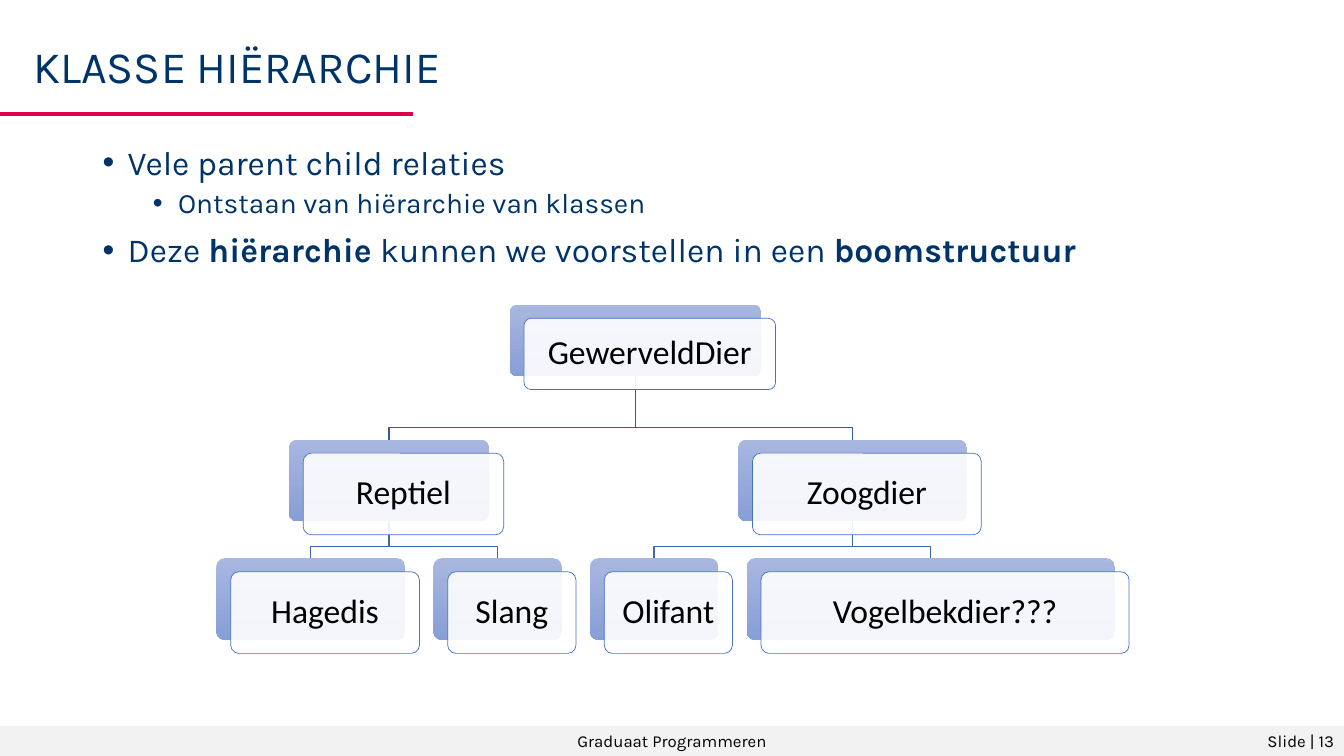
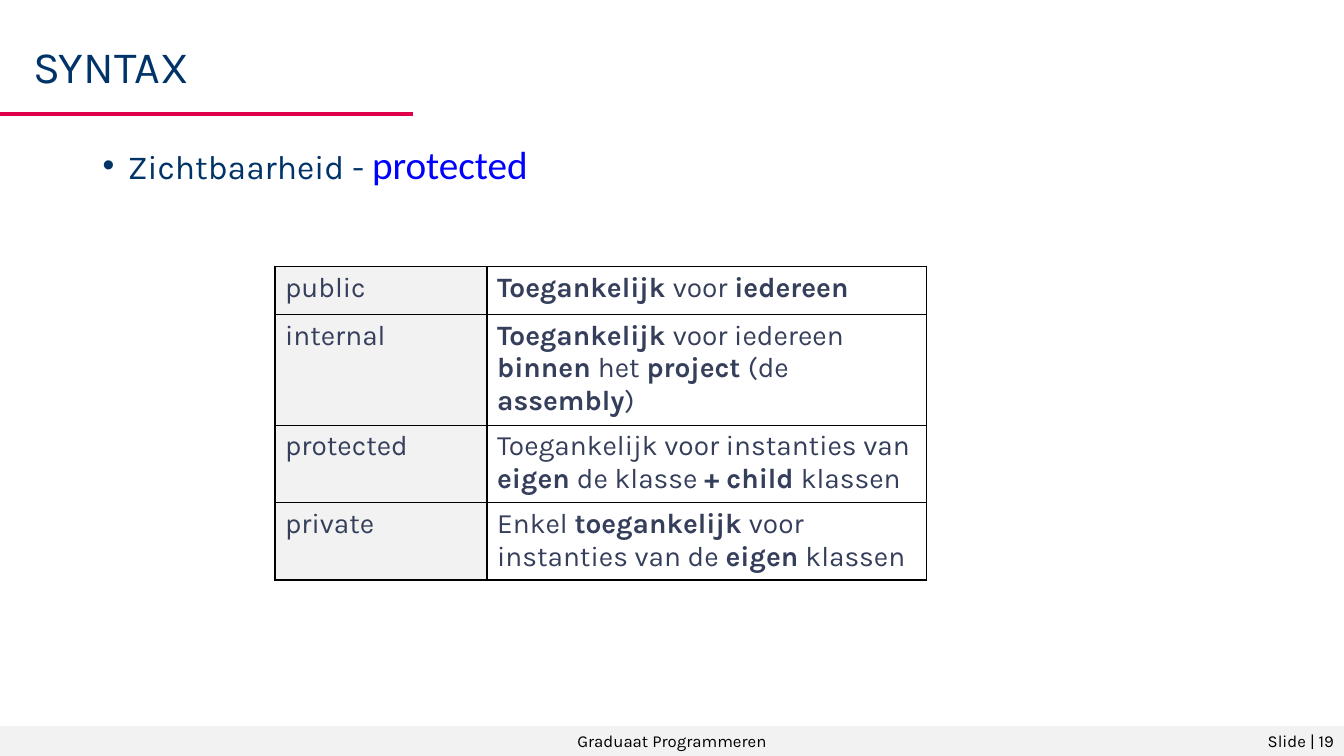
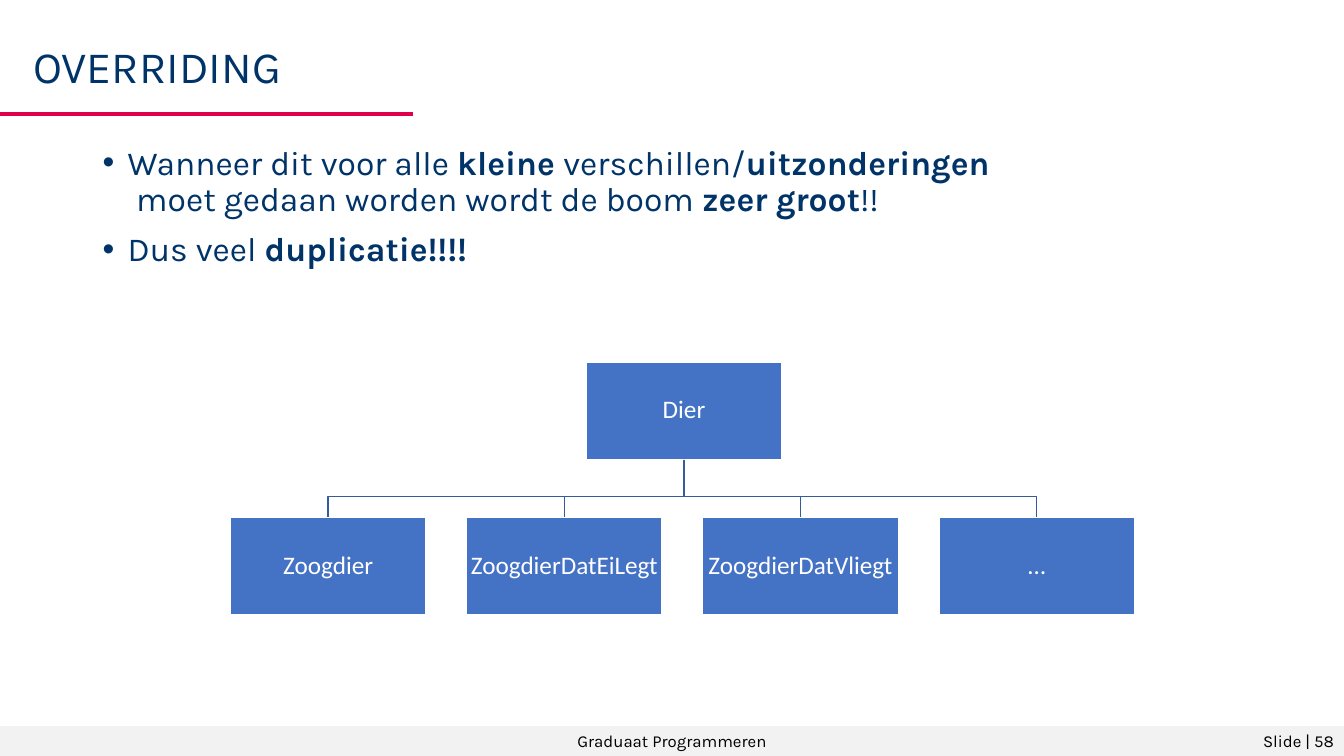
from lxml.etree import SubElement
from pptx import Presentation
from pptx.dml.color import RGBColor
from pptx.enum.shapes import MSO_CONNECTOR, MSO_SHAPE
from pptx.enum.text import MSO_ANCHOR as ANCHOR, PP_ALIGN as ALIGN
from pptx.oxml.ns import qn
from pptx.util import Pt

FONT, DIAGRAM_FONT = "Karla", "Calibri"
NAVY, RED, GREY, SLATE = "003469", "E00049", "F2F2F2", "353F5B"
BLUE, LINE_TOP, LINE_LOW = "4472C4", "365B9D", "3E67B2"
CARD_TOP, CARD_BOTTOM = "A8B7DF", "889ED7"
BLACK, WHITE, KEYWORD = "000000", "FFFFFF", "0000FF"
WIDTH, HEIGHT, FOOTER = 960, 540, 21.4


def rgb(value):
    return RGBColor.from_string(value)


def write(p, text, size=24, color=NAVY, font=FONT, align=None, spacing=None):
    if align is not None:
        p.alignment = align
    if spacing:
        p.line_spacing = spacing
    for i, part in enumerate(text.split("**")):
        for j, line in enumerate(part.split("\n")):
            if j:
                p.add_line_break()
            if line:
                r = p.add_run()
                r.text = line
                r.font.name, r.font.size = font, Pt(size)
                r.font.bold = i % 2 == 1
                r.font.color.rgb = rgb(color)


class Deck:
    def __init__(self):
        self.prs = Presentation()
        self.prs.slide_width, self.prs.slide_height = Pt(WIDTH), Pt(HEIGHT)
        self.s = None

    def slide(self, title, number):
        self.s = self.prs.slides.add_slide(self.prs.slide_layouts[6])
        top = HEIGHT - FOOTER
        bar = self.box(0, top, WIDTH, FOOTER, fill=GREY)
        self.label(bar, "Graduaat Programmeren", size=12, color=BLACK)
        tf = self.text_box(744, top, 216, FOOTER)
        tf.vertical_anchor = ANCHOR.MIDDLE
        write(tf.paragraphs[0], f"Slide | {number}", size=12, color=BLACK, align=ALIGN.RIGHT)
        self.line(0, 81.5, 295, 81.5, RED, 3)
        tf = self.text_box(16.5, 28.5, 877, 53)
        write(tf.paragraphs[0], title, size=32, spacing=0.9)

    def text_box(self, x, y, w, h):
        tf = self.s.shapes.add_textbox(Pt(x), Pt(y), Pt(w), Pt(h)).text_frame
        tf.word_wrap = True
        return tf

    def box(self, x, y, w, h, fill=None, line=None, weight=1, shape=MSO_SHAPE.RECTANGLE):
        sp = self.s.shapes.add_shape(shape, Pt(x), Pt(y), Pt(w), Pt(h))
        sp.shadow.inherit = False
        if fill:
            sp.fill.solid()
            sp.fill.fore_color.rgb = rgb(fill)
        if line:
            sp.line.color.rgb = rgb(line)
            sp.line.width = Pt(weight)
        else:
            sp.line.fill.background()
        return sp

    def label(self, sp, text, inset=3.6, **fmt):
        tf = sp.text_frame
        tf.word_wrap = True
        tf.vertical_anchor = ANCHOR.MIDDLE
        tf.margin_left = tf.margin_right = tf.margin_top = tf.margin_bottom = Pt(inset)
        write(tf.paragraphs[0], text, align=ALIGN.CENTER, **fmt)

    def line(self, x1, y1, x2, y2, color, weight=1):
        cx = self.s.shapes.add_connector(MSO_CONNECTOR.STRAIGHT, Pt(x1), Pt(y1), Pt(x2), Pt(y2))
        cx.line.color.rgb = rgb(color)
        cx.line.width = Pt(weight)
        SubElement(cx._element.spPr, qn("a:effectLst"))

    def bullets(self, items):
        tf = self.text_box(66.2, 100.8, 828, 389.5)
        for i, (level, text) in enumerate(items):
            p = tf.paragraphs[0] if i == 0 else tf.add_paragraph()
            pPr = p._p.get_or_add_pPr()
            pPr.set("marL", str(Pt(18 + 36 * level)))
            pPr.set("indent", str(-Pt(18)))
            SubElement(pPr, qn("a:buFont")).set("typeface", "Arial")
            SubElement(pPr, qn("a:buChar")).set("char", "•")
            if i:
                p.space_before = Pt(5 if level else 10)
            write(p, text, size=20 if level else 24, spacing=0.9)
        return tf

    def back_card(self, x, y, w, h):
        sp = self.box(x, y, w, h, shape=MSO_SHAPE.ROUNDED_RECTANGLE)
        sp.adjustments[0] = 0.1
        sp.fill.gradient()
        sp.fill.gradient_angle = 270
        for stop, color in zip(sp.fill.gradient_stops, (CARD_TOP, CARD_BOTTOM)):
            stop.color.rgb = rgb(color)
        return sp

    def front_card(self, back, text):
        x, y = back.left.pt + 10.2, back.top.pt + 9.7
        sp = self.box(x, y, back.width.pt, back.height.pt, WHITE, BLUE, 0.5,
                      MSO_SHAPE.ROUNDED_RECTANGLE)
        sp.adjustments[0] = 0.1
        clr = sp._element.spPr.find(qn("a:solidFill")).find(qn("a:srgbClr"))
        SubElement(clr, qn("a:alpha")).set("val", "90000")
        self.label(sp, text, inset=7.2, font=DIAGRAM_FONT, color=BLACK, spacing=0.9)

    def branch(self, parent, children, drop, color):
        start = parent.left + parent.width // 2
        for child in children:
            end, bus = child.left + child.width // 2, child.top - Pt(drop)
            path = self.s.shapes.build_freeform(start, parent.top + parent.height)
            path.add_line_segments([(start, bus), (end, bus), (end, child.top)], close=False)
            sp = path.convert_to_shape()
            sp.shadow.inherit = False
            sp.fill.background()
            sp.line.color.rgb = rgb(color)
            sp.line.width = Pt(1)

    def table(self, x, y, widths, height, rows):
        tbl = self.s.shapes.add_table(len(rows), len(widths), Pt(x), Pt(y),
                                      Pt(sum(widths)), Pt(height * len(rows))).table
        tbl.first_row = tbl.horz_banding = False
        for col, w in zip(tbl.columns, widths):
            col.width = Pt(w)
        for i, (row, texts) in enumerate(zip(tbl.rows, rows)):
            last = i == len(rows) - 1
            for cell, text, fill in zip(row.cells, texts, (GREY, WHITE)):
                self.borders(cell, 2.25 if last else 1)
                cell.fill.solid()
                cell.fill.fore_color.rgb = rgb(fill)
                write(cell.text_frame.paragraphs[0], text, size=20, color=SLATE)

    def borders(self, cell, bottom):
        tcPr = cell._tc.get_or_add_tcPr()
        for side, weight in zip("LRTB", (1, 1, 1, bottom)):
            ln = SubElement(tcPr, qn(f"a:ln{side}"))
            ln.set("w", str(Pt(weight)))
            fill = SubElement(ln, qn("a:solidFill"))
            SubElement(fill, qn("a:srgbClr")).set("val", BLACK)


def hierarchy(deck):
    deck.slide("KLASSE HIËRARCHIE", 13)
    deck.bullets([
        (0, "Vele parent child relaties"),
        (1, "Ontstaan van hiërarchie van klassen"),
        (0, "Deze **hiërarchie **kunnen we voorstellen in een **boomstructuur**"),
    ])
    levels = [
        (217.7, 50.9, [("GewerveldDier", 364.1, 179.7)]),
        (314, 58.3, [("Reptiel", 206.4, 143.2), ("Zoogdier", 527.3, 163.4)]),
        (398.7, 58.3, [("Hagedis", 154.6, 134.8), ("Slang", 309.6, 91.6),
                       ("Olifant", 421.5, 91.5), ("Vogelbekdier???", 533.4, 262.9)]),
    ]
    cards = {name: deck.back_card(x, y, w, h)
             for y, h, nodes in levels for name, x, w in nodes}
    for parent, children, color in [
        ("GewerveldDier", ("Reptiel", "Zoogdier"), LINE_TOP),
        ("Reptiel", ("Hagedis", "Slang"), LINE_LOW),
        ("Zoogdier", ("Olifant", "Vogelbekdier???"), LINE_LOW),
    ]:
        deck.branch(cards[parent], [cards[c] for c in children], 8.5, color)
    for name, card in cards.items():
        deck.front_card(card, name)


def syntax(deck):
    deck.slide("SYNTAX", 19)
    tf = deck.bullets([(0, "Zichtbaarheid - ")])
    write(tf.paragraphs[0], "protected", size=28, color=KEYWORD, font=DIAGRAM_FONT)
    deck.table(196.4, 190.5, (151.5, 314), 34, [
        ("public", "**Toegankelijk **voor **iedereen**"),
        ("internal", "**Toegankelijk **voor iedereen **binnen **het **project **(de **assembly**)"),
        ("protected", "Toegankelijk voor instanties van **eigen **de klasse **+ child **klassen"),
        ("private", "Enkel **toegankelijk **voor instanties van de **eigen **klassen"),
    ])


def overriding(deck):
    deck.slide("OVERRIDING", 58)
    deck.bullets([
        (0, "Wanneer dit voor alle **kleine **verschillen/**uitzonderingen\n **"
            "moet gedaan worden wordt de boom **zeer groot**!!"),
        (0, "Dus veel **duplicatie!!!!**"),
    ])
    names = ("Zoogdier", "ZoogdierDatEiLegt", "ZoogdierDatVliegt", "…")
    nodes = [("Dier", 418.8, 258.5)]
    nodes += [(name, 164.6 + 168.7 * i, 369.5) for i, name in enumerate(names)]
    boxes = []
    for name, x, y in nodes:
        sp = deck.box(x, y, 139.7, 69.8, BLUE, WHITE)
        deck.label(sp, name, inset=0.8, size=18, color=WHITE, font=DIAGRAM_FONT, spacing=0.9)
        boxes.append(sp)
    deck.branch(boxes[0], boxes[1:], 14.7, LINE_TOP)


def main():
    deck = Deck()
    hierarchy(deck)
    syntax(deck)
    overriding(deck)
    deck.prs.save("out.pptx")


if __name__ == "__main__":
    main()
